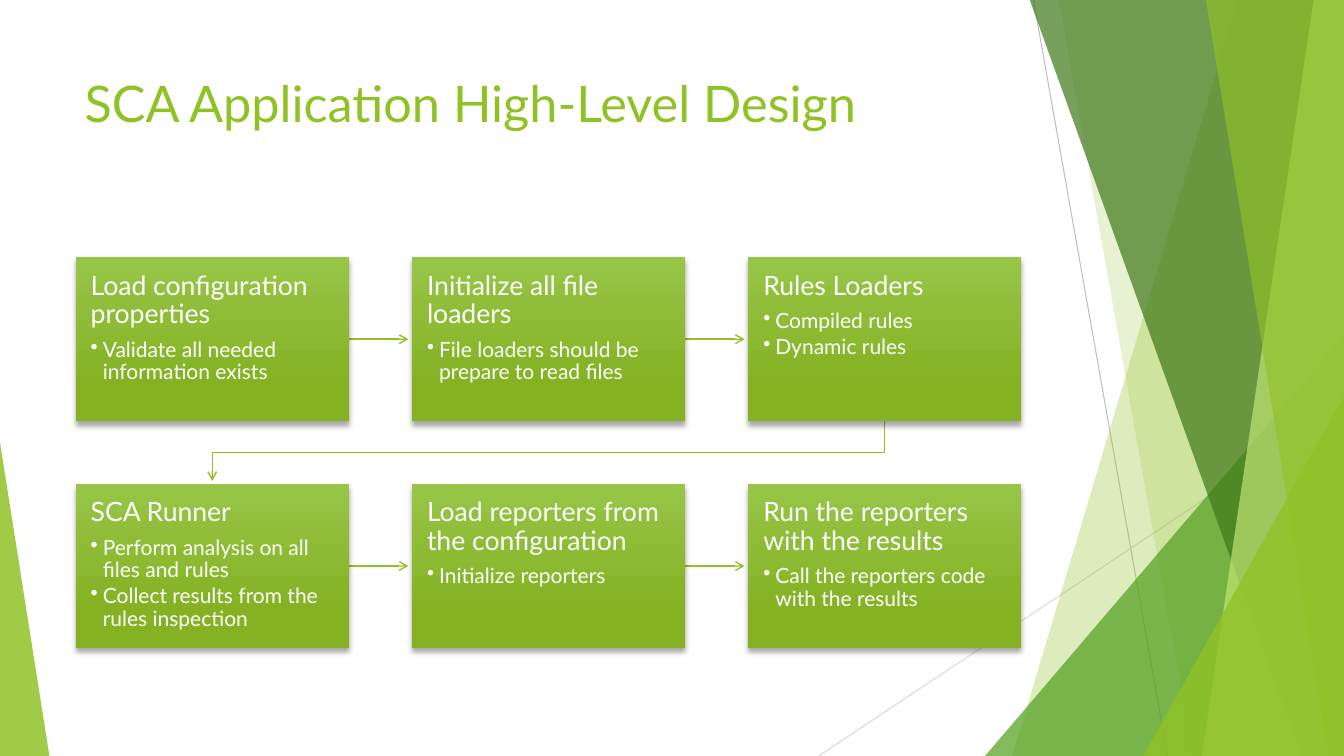
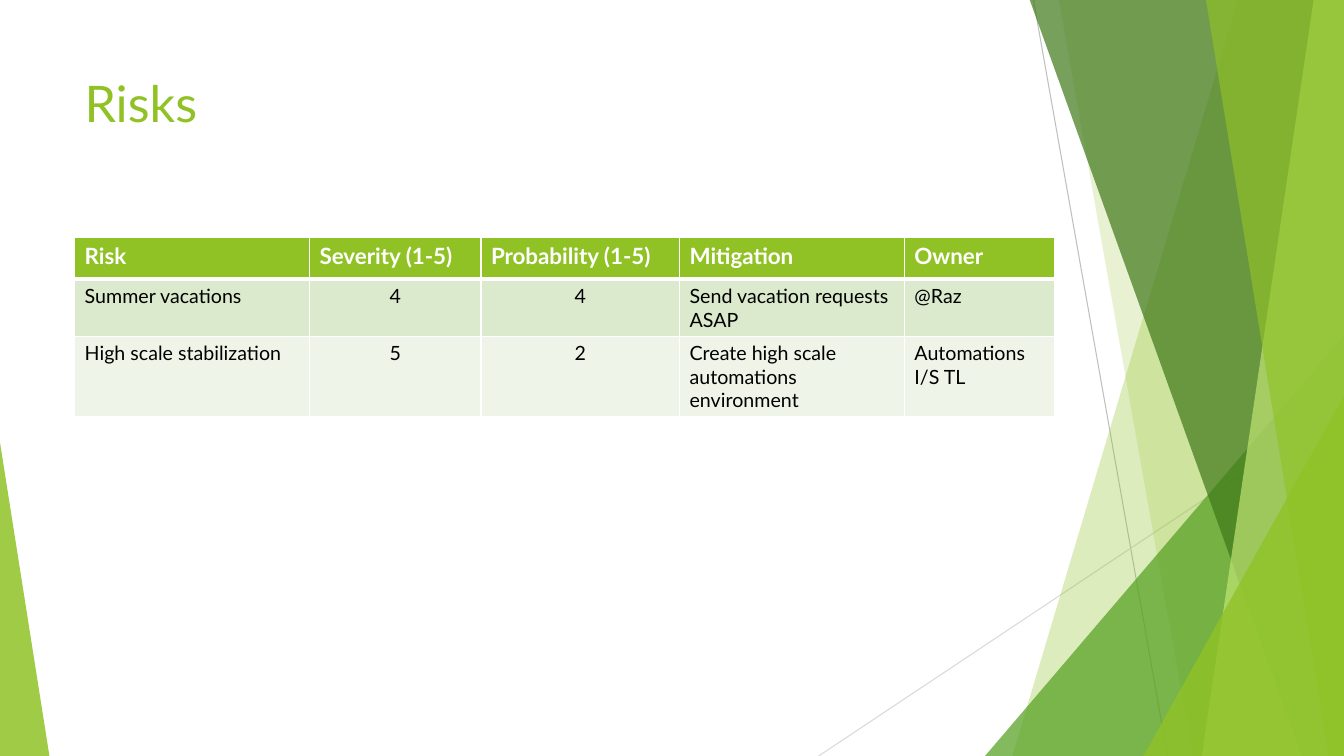
"""Build a two-slide deck about an analysis application: design flow and risks."""
import lxml.etree
import pptx
import pptx.dml.color
import pptx.enum.shapes
import pptx.enum.text
import pptx.oxml.ns
import pptx.util

Inches = pptx.util.Inches
Pt = pptx.util.Pt
qn = pptx.oxml.ns.qn
SHAPES = pptx.enum.shapes.MSO_SHAPE
ALIGN = pptx.enum.text.PP_ALIGN

FONT = "Lato"
GREEN, WHITE, BLACK = "90C226", "FFFFFF", "000000"
WIDTH, HEIGHT, TOP = 13.33, 7.5, -0.01

BOX_LEFT, BOX_TOP, BOX_WIDTH, BOX_HEIGHT = 0.75, 2.55, 2.71, 1.63
COLUMN_STEP, ROW_STEP = 6.67 / 2, 2.25
ARROW_LENGTH = 0.59

STEPS = [
    [("Load configuration properties", ["Validate all needed information exists"]),
     ("Initialize all file loaders", ["File loaders should be prepare to read files"]),
     ("Rules Loaders", ["Compiled rules", "Dynamic rules"])],
    [("SCA Runner", ["Perform analysis on all files and rules",
                     "Collect results from the rules inspection"]),
     ("Load reporters from the configuration", ["Initialize reporters"]),
     ("Run the reporters with the results", ["Call the reporters code with the results"])],
]
RISKS = [
    ["Risk", "Severity (1-5)", "Probability (1-5)", "Mitigation", "Owner"],
    ["Summer vacations", "4", "4", "Send vacation requests ASAP", "@Raz"],
    ["High scale stabilization", "5", "2", "Create high scale automations environment",
     "Automations I/S TL"],
]
RISK_COLUMNS = [2.33, 1.7, 1.97, 2.23, 1.49]
RISK_FILLS = [GREEN, "DBE9CD", "EEF4E8"]
ROW_HEIGHT = 0.41


def rgb(value):
    """Turn a hex string into a colour."""
    return pptx.dml.color.RGBColor.from_string(value)


def add_xml(parent, tag, **attributes):
    """Append a child element and return it."""
    values = {name: str(value) for name, value in attributes.items()}
    return lxml.etree.SubElement(parent, qn(tag), values)


def write(paragraph, text, size=14, color=BLACK, bold=False, align=None, bullet=False,
          line_spacing=None, after=0):
    """Write formatted text; after is a share of the text size."""
    run = paragraph.add_run()
    run.text = text
    run.font.name = FONT
    run.font.size = Pt(size)
    run.font.bold = bold
    run.font.color.rgb = rgb(color)
    paragraph.alignment = align
    paragraph.line_spacing = line_spacing
    paragraph.space_after = Pt(size * after)
    if bullet:
        paragraph.level = 1
        properties = paragraph._p.get_or_add_pPr()
        properties.set("marL", str(Inches(0.12)))
        properties.set("indent", str(-Inches(0.12)))
        add_xml(properties, "a:buChar", char="\u2022")


def paint(shape, color, opacity):
    """Give a shape a translucent flat fill without line or shadow."""
    shape.shadow.inherit = False
    shape.line.fill.background()
    shape.fill.solid()
    shape.fill.fore_color.rgb = rgb(color)
    solid = shape.element.spPr.find(qn("a:solidFill"))
    add_xml(solid[0], "a:alpha", val=opacity * 1000)


def add_outline(slide, points, close):
    """Add a freeform through points given in inches."""
    corners = [(Inches(x), Inches(y)) for x, y in points]
    builder = slide.shapes.build_freeform(*corners[0])
    builder.add_line_segments(corners[1:], close=close)
    return builder.convert_to_shape()


def add_band(slide, top_left, bottom_left, color, opacity):
    """Add a slanted band that reaches the right edge of the slide."""
    points = [(top_left, TOP), (WIDTH, TOP), (WIDTH, HEIGHT), (bottom_left, HEIGHT)]
    paint(add_outline(slide, points, True), color, opacity)


def add_triangle(slide, left, top, width, apex, color, opacity):
    """Add a triangle that stands on the bottom edge of the slide."""
    shape = slide.shapes.add_shape(SHAPES.ISOSCELES_TRIANGLE, Inches(left), Inches(top),
                                   Inches(width), Inches(HEIGHT - top))
    shape.adjustments[0] = apex
    paint(shape, color, opacity)


def set_line(shape, color, width, arrow=False):
    """Set line colour and width, with an arrowhead on request."""
    shape.line.color.rgb = rgb(color)
    shape.line.width = Pt(width)
    if arrow:
        add_xml(shape.element.spPr.find(qn("a:ln")), "a:tailEnd", type="arrow")


def add_line(slide, start, end, color, width, arrow=False):
    """Add a straight line between two points."""
    connector = slide.shapes.add_connector(
        pptx.enum.shapes.MSO_CONNECTOR.STRAIGHT,
        *(Inches(value) for value in (*start, *end)))
    set_line(connector, color, width, arrow)
    add_xml(connector.element.spPr, "a:effectLst")


def add_bent_arrow(slide, points):
    """Add an arrow that turns at each inner point."""
    shape = add_outline(slide, points, False)
    shape.shadow.inherit = False
    shape.fill.background()
    set_line(shape, GREEN, 1, arrow=True)


def add_facets(slide):
    """Draw the green facets that all slides share."""
    add_line(slide, (10.25, 0), (11.58, HEIGHT), "BFBFBF", 0.75)
    add_line(slide, (WIDTH, 4.03), (8.12, HEIGHT), "D9D9D9", 0.75)
    add_band(slide, 12.28, 10.04, GREEN, 30)
    add_band(slide, 10.5, 11.83, GREEN, 20)
    add_triangle(slide, 9.77, 3.33, 3.56, 1, "54A021", 72)
    add_band(slide, 10.21, 12.91, "3F7819", 70)
    add_band(slide, 13.03, 11.92, "C0E474", 70)
    add_band(slide, 11.96, 13.18, GREEN, 65)
    add_triangle(slide, 11.34, 3.93, 1.99, 1, GREEN, 80)
    add_triangle(slide, 0, 4.39, 0.49, 0, GREEN, 85)


def add_slide(presentation, title):
    """Add a blank slide with the shared facets and a title."""
    slide = presentation.slides.add_slide(presentation.slide_layouts[6])
    add_facets(slide)
    box = slide.shapes.add_textbox(Inches(0.74), Inches(0.67), Inches(9.4), Inches(1.44))
    box.text_frame.word_wrap = True
    write(box.text_frame.paragraphs[0], title, size=36, color=GREEN)
    return slide


def add_step(slide, left, top, heading, details):
    """Add a shaded box with a heading and bullets."""
    shape = slide.shapes.add_shape(SHAPES.RECTANGLE, Inches(left), Inches(top),
                                   Inches(BOX_WIDTH), Inches(BOX_HEIGHT))
    shape.line.fill.background()
    shape.fill.gradient()
    shape.fill.gradient_angle = 270
    for stop, position, color in zip(shape.fill.gradient_stops, (0, 0.78),
                                     ("97C547", "84B223")):
        stop.position = position
        stop.color.rgb = rgb(color)
    shape.shadow.inherit = False
    effects = shape.element.spPr.find(qn("a:effectLst"))
    shadow = add_xml(effects, "a:outerShdw", blurRad=Pt(4), dist=Pt(3), dir=5400000,
                     rotWithShape=0)
    add_xml(add_xml(shadow, "a:srgbClr", val=BLACK), "a:alpha", val=35000)
    frame = shape.text_frame
    frame.word_wrap = True
    frame.vertical_anchor = pptx.enum.text.MSO_ANCHOR.TOP
    for side in ("left", "top", "right", "bottom"):
        setattr(frame, f"margin_{side}", Inches(0.15))
    write(frame.paragraphs[0], heading, size=19, color=WHITE, align=ALIGN.LEFT,
          line_spacing=0.9, after=0.35)
    for detail in details:
        write(frame.add_paragraph(), detail, size=15, color=WHITE, align=ALIGN.LEFT,
              bullet=True, line_spacing=0.9, after=0.15)


def add_flow(slide):
    """Lay out the steps in rows joined by arrows."""
    for row, steps in enumerate(STEPS):
        top = BOX_TOP + row * ROW_STEP
        for column, (heading, details) in enumerate(steps):
            left = BOX_LEFT + column * COLUMN_STEP
            right, middle = left + BOX_WIDTH, top + BOX_HEIGHT / 2
            if column < len(steps) - 1:
                add_line(slide, (right, middle), (right + ARROW_LENGTH, middle),
                         GREEN, 1, arrow=True)
            elif row < len(STEPS) - 1:
                center, first_center = left + BOX_WIDTH / 2, BOX_LEFT + BOX_WIDTH / 2
                bottom = top + BOX_HEIGHT
                turn = (bottom + top + ROW_STEP) / 2
                add_bent_arrow(slide, [(center, bottom), (center, turn), (first_center, turn),
                                       (first_center, bottom + ARROW_LENGTH)])
            add_step(slide, left, top, heading, details)


def set_borders(cell, top, bottom):
    """Give a cell white borders."""
    properties = cell._tc.get_or_add_tcPr()
    for side, width in (("L", 1), ("R", 1), ("T", top), ("B", bottom)):
        line = add_xml(properties, f"a:ln{side}", w=Pt(width))
        add_xml(add_xml(line, "a:solidFill"), "a:srgbClr", val=WHITE)


def add_risk_table(slide):
    """Add the table of risks."""
    table = slide.shapes.add_table(
        len(RISKS), len(RISK_COLUMNS), Inches(0.74), Inches(2.36),
        Inches(sum(RISK_COLUMNS)), Inches(ROW_HEIGHT * len(RISKS))).table
    for column, width in zip(table.columns, RISK_COLUMNS):
        column.width = Inches(width)
    for row, (values, fill) in enumerate(zip(RISKS, RISK_FILLS)):
        header = row == 0
        for column, value in enumerate(values):
            cell = table.cell(row, column)
            set_borders(cell, top=3 if row == 1 else 1, bottom=3 if header else 1)
            cell.fill.solid()
            cell.fill.fore_color.rgb = rgb(fill)
            write(cell.text_frame.paragraphs[0], value, size=16 if header else 14,
                  color=WHITE if header else BLACK, bold=header,
                  align=ALIGN.CENTER if value.isdigit() else ALIGN.LEFT)


def main():
    """Build and save the presentation."""
    presentation = pptx.Presentation()
    presentation.slide_width = Inches(WIDTH)
    presentation.slide_height = Inches(HEIGHT)
    add_flow(add_slide(presentation, "SCA Application High-Level Design"))
    add_risk_table(add_slide(presentation, "Risks"))
    presentation.save("out.pptx")


main()
